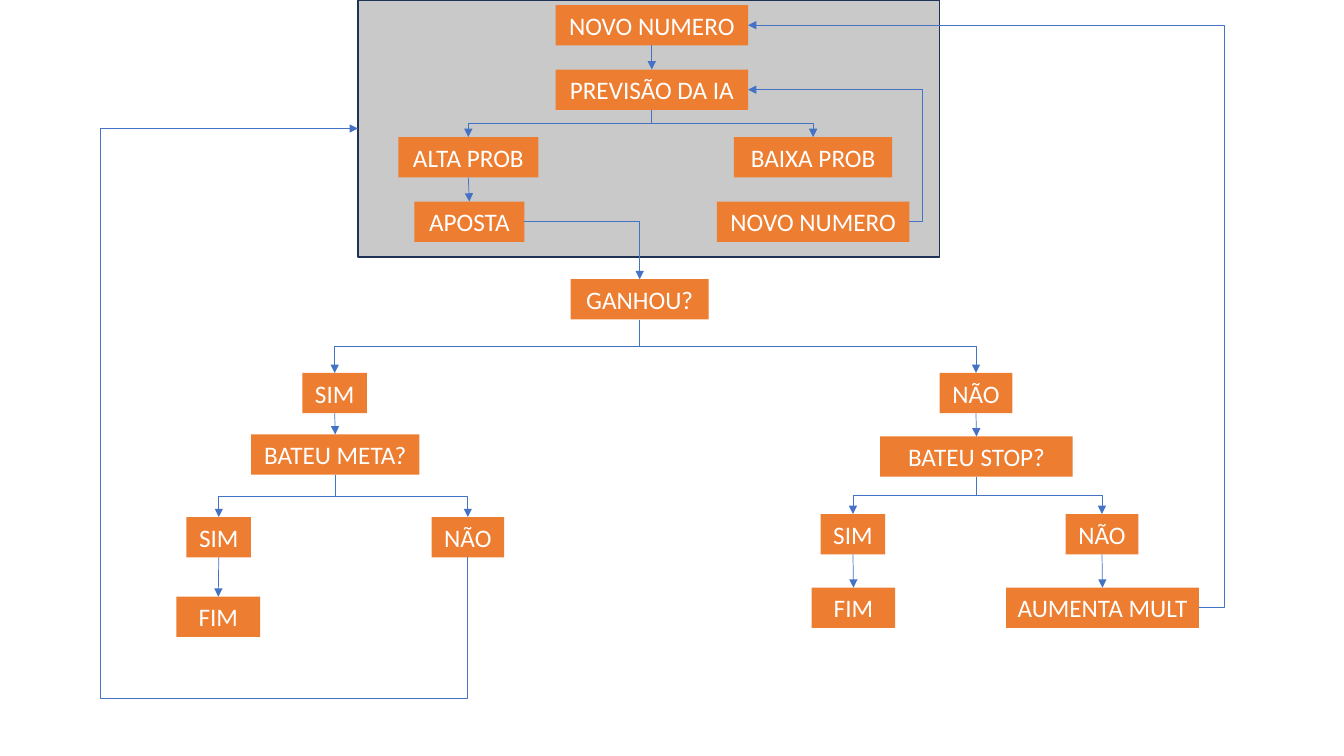
from lxml import etree
from pptx import Presentation
from pptx.dml.color import RGBColor
from pptx.enum.shapes import MSO_CONNECTOR, MSO_SHAPE
from pptx.enum.text import MSO_ANCHOR, PP_ALIGN
from pptx.oxml.ns import qn
from pptx.util import Pt

PX = 9144
ORANGE = RGBColor(0xED, 0x7D, 0x31)
GREY = RGBColor(0xC9, 0xC9, 0xC9)
NAVY = RGBColor(0x1E, 0x32, 0x56)
BLUE = RGBColor(0x44, 0x72, 0xC4)
WHITE = RGBColor(0xFF, 0xFF, 0xFF)
RECTANGLE = MSO_SHAPE.RECTANGLE
STRAIGHT = MSO_CONNECTOR.STRAIGHT
ELBOW = MSO_CONNECTOR.ELBOW
CENTER = PP_ALIGN.CENTER
MIDDLE = MSO_ANCHOR.MIDDLE
TOP, LEFT, BOTTOM, RIGHT = range(4)
STEP_HEIGHT = 40

prs = Presentation()
prs.slide_width = 1333 * PX
prs.slide_height = 750 * PX
slide = prs.slides.add_slide(prs.slide_layouts[6])


def add_box(left, top, width, height, color):
    box = slide.shapes.add_shape(RECTANGLE, left * PX, top * PX, width * PX, height * PX)
    box.shadow.inherit = False
    box.fill.solid()
    box.fill.fore_color.rgb = color
    box.line.fill.background()
    return box


def link(start, start_site, end, end_site, kind=ELBOW, preset=None, bends=()):
    arrow = slide.shapes.add_connector(kind, 0, 0, 0, 0)
    arrow.begin_connect(start, start_site)
    arrow.end_connect(end, end_site)
    arrow.line.color.rgb = BLUE
    arrow.line.width = Pt(0.5)
    properties = arrow._element.spPr
    etree.SubElement(properties.find(qn("a:ln")), qn("a:tailEnd"), type="triangle")
    etree.SubElement(properties, qn("a:effectLst"))
    geometry = properties.find(qn("a:prstGeom"))
    if preset:
        geometry.set("prst", preset)
    for number, bend in enumerate(bends, 1):
        etree.SubElement(geometry.find(qn("a:avLst")), qn("a:gd"),
                         name=f"adj{number}", fmla=f"val {bend}")
    if kind == ELBOW and start_site == BOTTOM:
        run = arrow.end_x - arrow.begin_x
        drop = arrow.end_y - arrow.begin_y
        middle_x = (arrow.begin_x + arrow.end_x) // 2
        middle_y = (arrow.begin_y + arrow.end_y) // 2
        arrow.width, arrow.height = abs(drop), abs(run)
        arrow.left = middle_x - abs(drop) // 2
        arrow.top = middle_y - abs(run) // 2
        frame = properties.find(qn("a:xfrm"))
        frame.set("rot", str((90 if run < 0 else 270) * 60000))
        frame.set("flipH", "1" if (run < 0) == (drop < 0) else "0")
        frame.set("flipV", "0")


betting_area = add_box(355, 0, 577, 255, GREY)
betting_area.line.color.rgb = NAVY
betting_area.line.width = Pt(1)

steps = {}
for key, label, left, top, width in [
    ("number", "NOVO NUMERO", 551, 5, 191),
    ("forecast", "PREVISÃO DA IA", 551, 69, 191),
    ("high", "ALTA PROB", 395, 136, 139),
    ("low", "BAIXA PROB", 728, 136, 157),
    ("bet", "APOSTA", 411, 200, 109),
    ("next_number", "NOVO NUMERO", 711, 200, 191),
    ("won", "GANHOU?", 566, 277, 137),
    ("won_yes", "SIM", 300, 370, 64),
    ("won_no", "NÃO", 932, 370, 72),
    ("goal", "BATEU META?", 249, 431, 167),
    ("goal_yes", "SIM", 185, 513, 64),
    ("goal_no", "NÃO", 428, 513, 72),
    ("goal_end", "FIM", 175, 592, 83),
    ("stop", "BATEU STOP?", 873, 433, 191),
    ("stop_yes", "SIM", 814, 510, 64),
    ("stop_no", "NÃO", 1057, 510, 72),
    ("stop_end", "FIM", 805, 583, 83),
    ("raise", "AUMENTA MULT", 998, 583, 191),
]:
    step = add_box(left, top, width, STEP_HEIGHT, ORANGE)
    step.text_frame.word_wrap = False
    step.text_frame.vertical_anchor = MIDDLE
    paragraph = step.text_frame.paragraphs[0]
    paragraph.alignment = CENTER
    caption = paragraph.add_run()
    caption.text = label
    caption.font.name = "Calibri"
    caption.font.size = Pt(18)
    caption.font.color.rgb = WHITE
    steps[key] = step

for upper, lower in [
    ("number", "forecast"),
    ("high", "bet"),
    ("won_yes", "goal"),
    ("won_no", "stop"),
    ("goal_yes", "goal_end"),
    ("stop_yes", "stop_end"),
    ("stop_no", "raise"),
]:
    link(steps[upper], BOTTOM, steps[lower], TOP, STRAIGHT)

for question, *answers in [
    ("forecast", "high", "low"),
    ("won", "won_yes", "won_no"),
    ("goal", "goal_yes", "goal_no"),
    ("stop", "stop_yes", "stop_no"),
]:
    for answer in answers:
        link(steps[question], BOTTOM, steps[answer], TOP)

link(steps["bet"], RIGHT, steps["won"], TOP, preset="bentConnector2")
link(steps["next_number"], RIGHT, steps["forecast"], RIGHT, bends=[-8100])
link(steps["raise"], RIGHT, steps["number"], RIGHT, bends=[-5600])
link(steps["goal_no"], BOTTOM, betting_area, LEFT,
     preset="bentConnector4", bends=[-32900, 334000])

prs.save("out.pptx")
